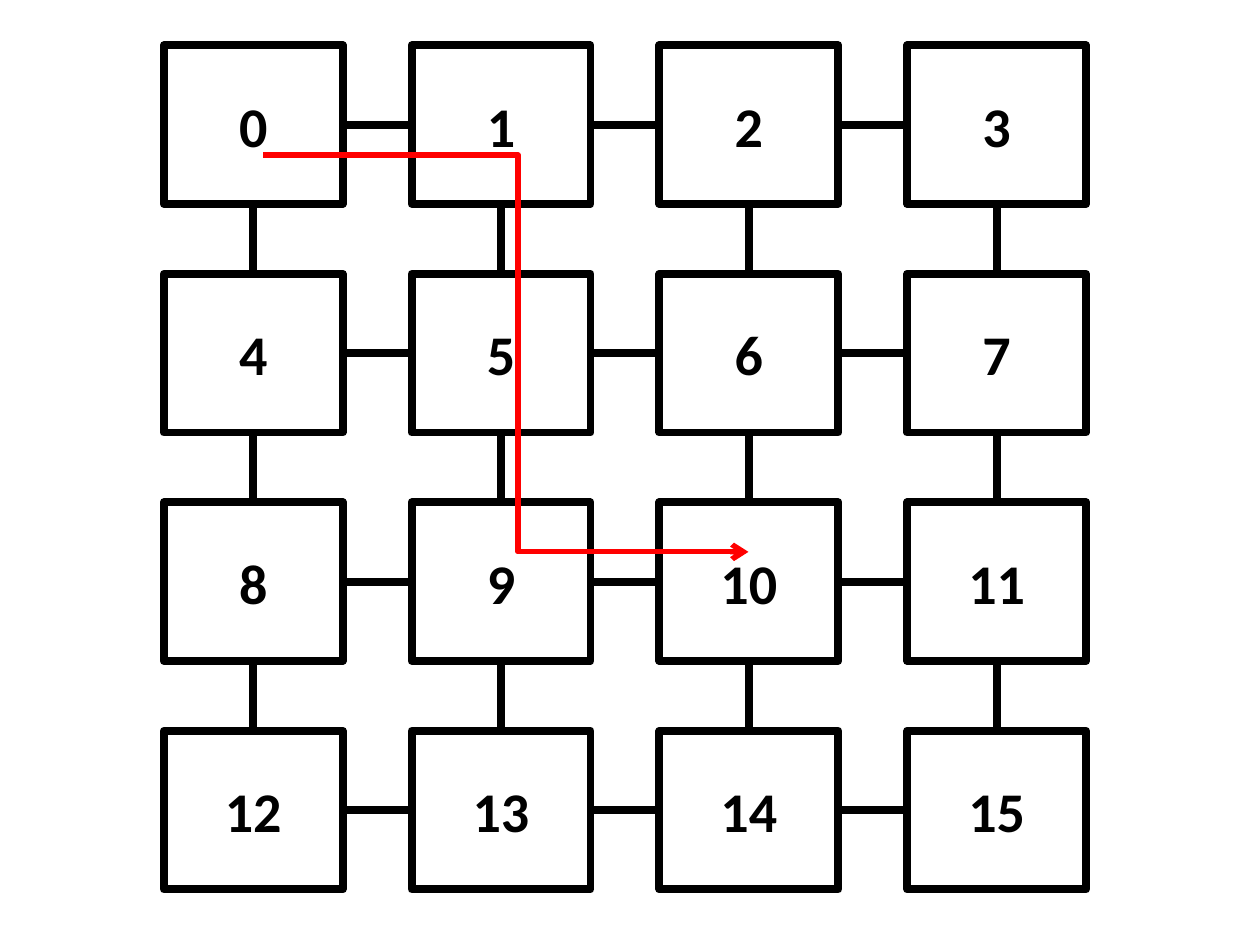
from lxml.etree import SubElement
from pptx import Presentation
from pptx.dml.color import RGBColor
from pptx.enum.shapes import MSO_CONNECTOR, MSO_SHAPE
from pptx.enum.text import MSO_ANCHOR, PP_ALIGN
from pptx.oxml.ns import qn
from pptx.util import Inches, Pt

MESH = [
    ["0", "1", "2", "3"],
    ["4", "5", "6", "7"],
    ["8", "9", "10", "11"],
    ["12", "13", "14", "15"],
]
ROUTE = {"start": (2.09, 1.23), "end": (5.94, 4.38), "turn_x": 4.11}

THEME = {
    "font": "Calibri",
    "label_size": Pt(32),
    "ink": RGBColor(0, 0, 0),
    "route": RGBColor(255, 0, 0),
    "mesh_width": Pt(4.5),
    "route_width": Pt(3),
}

FIRST_LEFT, LAST_LEFT = 1.3, 7.2
FIRST_TOP, LAST_TOP = 0.36, 5.8
NODE_WIDTH, NODE_HEIGHT = 1.42, 1.26
COLUMN_STEP = (LAST_LEFT - FIRST_LEFT) / (len(MESH[0]) - 1)
ROW_STEP = (LAST_TOP - FIRST_TOP) / (len(MESH) - 1)
TOP, LEFT, BOTTOM, RIGHT = range(4)


def add_node(slide, row, column, label):
    node = slide.shapes.add_shape(
        MSO_SHAPE.RECTANGLE,
        Inches(FIRST_LEFT + column * COLUMN_STEP),
        Inches(FIRST_TOP + row * ROW_STEP),
        Inches(NODE_WIDTH),
        Inches(NODE_HEIGHT),
    )
    node.shadow.inherit = False
    node.fill.background()
    node.line.color.rgb = THEME["ink"]
    node.line.width = THEME["mesh_width"]
    frame = node.text_frame
    frame.text = label
    frame.vertical_anchor = MSO_ANCHOR.MIDDLE
    paragraph = frame.paragraphs[0]
    paragraph.alignment = PP_ALIGN.CENTER
    font = paragraph.runs[0].font
    font.name = THEME["font"]
    font.size = THEME["label_size"]
    font.bold = True
    font.color.rgb = THEME["ink"]
    return node


def add_line(slide, kind, start, end, color, width):
    line = slide.shapes.add_connector(
        kind, *(Inches(value) for value in (*start, *end))
    )
    line.line.color.rgb = color
    line.line.width = width
    SubElement(line._element.spPr, qn("a:effectLst"))
    return line


def link_nodes(slide, node, node_site, neighbour, neighbour_site):
    link = add_line(
        slide, MSO_CONNECTOR.STRAIGHT, (0, 0), (0, 0),
        THEME["ink"], THEME["mesh_width"],
    )
    link.begin_connect(node, node_site)
    link.end_connect(neighbour, neighbour_site)


def add_route(slide):
    start, end = ROUTE["start"], ROUTE["end"]
    route = add_line(
        slide, MSO_CONNECTOR.ELBOW, start, end,
        THEME["route"], THEME["route_width"],
    )
    turn = (ROUTE["turn_x"] - start[0]) / (end[0] - start[0])
    properties = route._element.spPr
    adjustments = properties.find(qn("a:prstGeom")).get_or_add_avLst()
    SubElement(
        adjustments, qn("a:gd"), name="adj1", fmla=f"val {round(turn * 100000)}"
    )
    SubElement(properties.find(qn("a:ln")), qn("a:tailEnd"), type="arrow")


def main():
    presentation = Presentation()
    presentation.slide_width = Inches(10)
    presentation.slide_height = Inches(7.5)
    slide = presentation.slides.add_slide(presentation.slide_layouts[6])

    nodes = {}
    for row, labels in enumerate(MESH):
        for column, label in enumerate(labels):
            node = nodes[row, column] = add_node(slide, row, column, label)
            if column:
                link_nodes(slide, node, LEFT, nodes[row, column - 1], RIGHT)
            if row:
                link_nodes(slide, node, TOP, nodes[row - 1, column], BOTTOM)

    add_route(slide)
    presentation.save("out.pptx")


if __name__ == "__main__":
    main()
